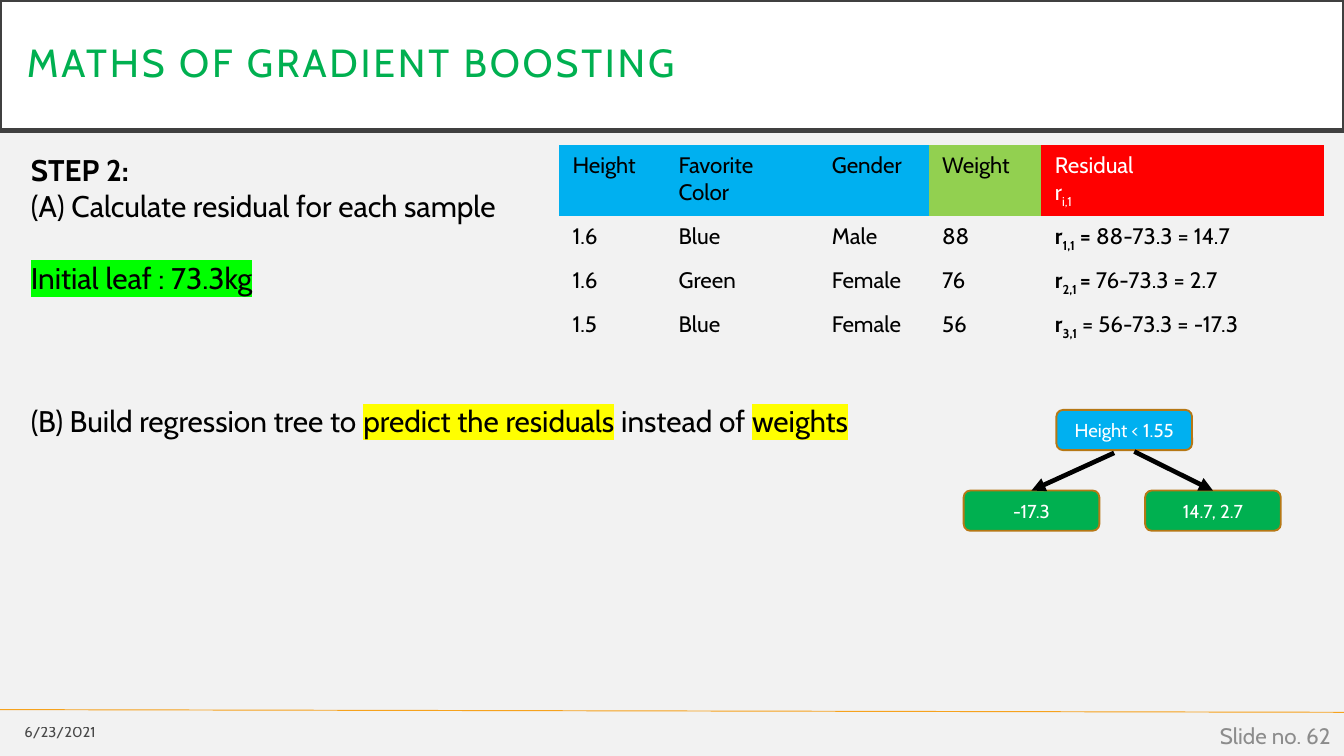
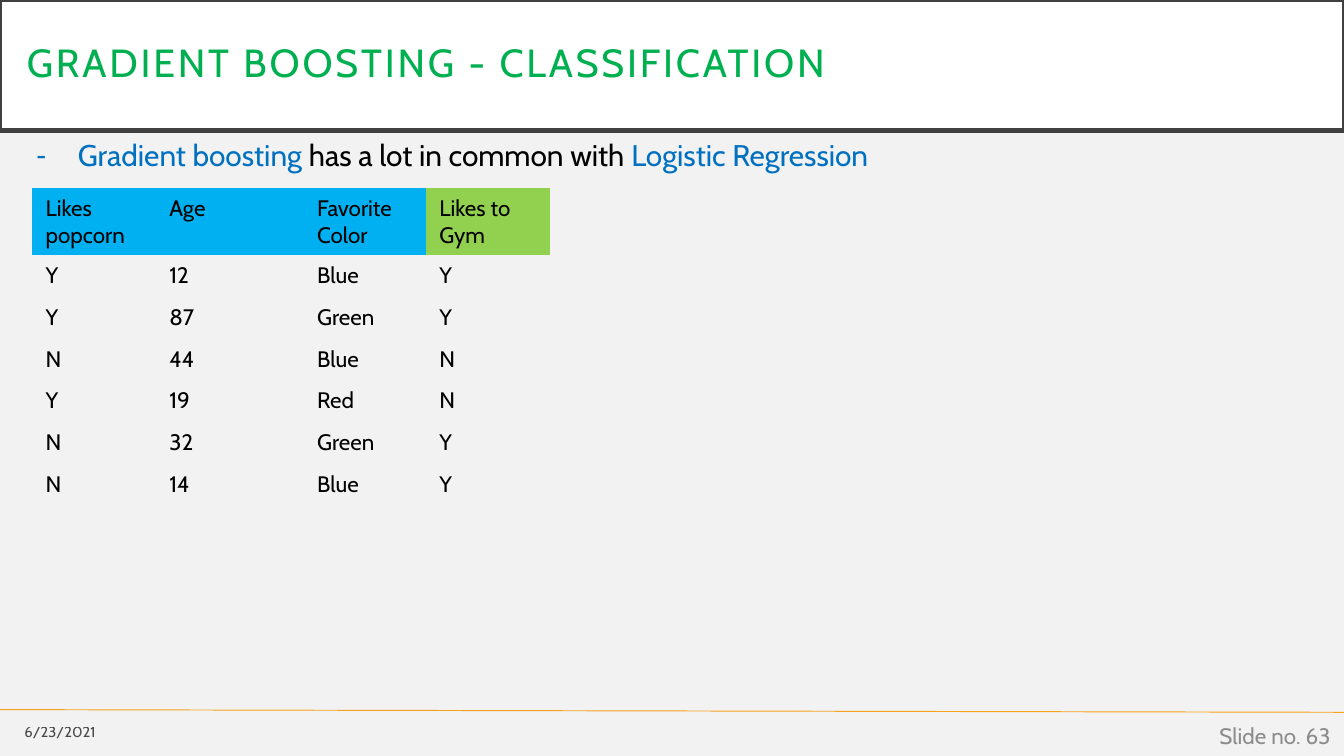
from dataclasses import dataclass, field

from lxml import etree
from pptx import Presentation
from pptx.dml.color import RGBColor
from pptx.enum.shapes import MSO_CONNECTOR, MSO_SHAPE
from pptx.enum.text import MSO_ANCHOR, MSO_AUTO_SIZE, PP_ALIGN
from pptx.oxml.ns import qn
from pptx.util import Inches, Pt

STRAIGHT = MSO_CONNECTOR.STRAIGHT
ROUNDED = MSO_SHAPE.ROUNDED_RECTANGLE
MIDDLE, TOP = MSO_ANCHOR.MIDDLE, MSO_ANCHOR.TOP
LEFT, CENTER, RIGHT = PP_ALIGN.LEFT, PP_ALIGN.CENTER, PP_ALIGN.RIGHT
FIXED = MSO_AUTO_SIZE.NONE
TITLE_AND_CONTENT = 1
TOP_SIDE = 0
SUBSCRIPT = -25000
PLAIN_TABLE = "{2D5ABB26-0587-4C30-8999-92F81FD0307C}"


@dataclass(frozen=True)
class Theme:
    font: str = "Cabin"
    page: str = "F2F2F2"
    white: str = "FFFFFF"
    black: str = "000000"
    band_edge: str = "404040"
    green: str = "00B050"
    rule: str = "F6A21D"
    slide_number: str = "8C8C8C"
    feature: str = "00B0F0"
    target: str = "92D050"
    residual: str = "FF0000"
    node_edge: str = "B67815"
    term: str = "0070C0"
    lime: str = "00FF00"
    yellow: str = "FFFF00"
    title_size: float = 21
    body_size: float = 16
    table_size: float = 12
    number_size: float = 12
    node_size: float = 10
    date_size: float = 7.9


THEME = Theme()


@dataclass(frozen=True)
class Box:
    left: float
    top: float
    width: float
    height: float

    def lengths(self) -> list:
        return [Inches(v) for v in (self.left, self.top, self.width, self.height)]


@dataclass(frozen=True)
class Span:
    text: str
    style: dict = field(default_factory=dict)


@dataclass(frozen=True)
class Line:
    spans: tuple
    blank_lines_before: int = 0
    dash: bool = False


@dataclass(frozen=True)
class Column:
    heading: tuple
    width: float
    fill: str


@dataclass(frozen=True)
class Node:
    text: str
    box: Box
    fill: str


def rgb(code: str) -> RGBColor:
    return RGBColor.from_string(code)


def write(paragraph, text: str, *, size: float, color: str = THEME.black,
          bold: bool = False, highlight: str = "", baseline: int = 0,
          spacing: float = 0, opacity: int = 100) -> None:
    run = paragraph.add_run()
    run.text = text
    run.font.name = THEME.font
    run.font.size = Pt(size)
    run.font.bold = bold
    run.font.color.rgb = rgb(color)
    props = run._r.get_or_add_rPr()
    if baseline:
        props.set("baseline", str(baseline))
    if spacing:
        props.set("spc", str(int(spacing * 100)))
    if opacity < 100:
        tint = props.find(qn("a:solidFill"))[0]
        etree.SubElement(tint, qn("a:alpha"), val=str(opacity * 1000))
    if highlight:
        marker = etree.Element(qn("a:highlight"))
        etree.SubElement(marker, qn("a:srgbClr"), val=highlight)
        props.find(qn("a:latin")).addprevious(marker)


def write_spans(paragraph, spans: tuple, size: float) -> None:
    for span in spans:
        write(paragraph, span.text, size=size, **span.style)


def place(shape, box: Box) -> None:
    shape.left, shape.top, shape.width, shape.height = box.lengths()


def paint(shape, fill: str, edge: str, weight: float) -> None:
    shape.fill.solid()
    shape.fill.fore_color.rgb = rgb(fill)
    shape.line.color.rgb = rgb(edge)
    shape.line.width = Pt(weight)


def add_line(slide, start: tuple, end: tuple, color: str, weight: float,
             arrow: bool = False):
    line = slide.shapes.add_connector(
        STRAIGHT, *[Inches(v) for v in (*start, *end)])
    line.line.color.rgb = rgb(color)
    line.line.width = Pt(weight)
    props = line._element.spPr
    if arrow:
        etree.SubElement(props.find(qn("a:ln")), qn("a:tailEnd"), type="triangle")
    etree.SubElement(props, qn("a:effectLst"))
    return line


def add_footer(slide, text: str, box: Box, **style) -> None:
    frame = slide.shapes.add_textbox(*box.lengths()).text_frame
    frame.word_wrap = True
    frame.vertical_anchor = MIDDLE
    frame.paragraphs[0].alignment = RIGHT
    write(frame.paragraphs[0], text, **style)


def add_slide(prs, title: str, number: int):
    slide = prs.slides.add_slide(prs.slide_layouts[TITLE_AND_CONTENT])
    add_line(slide, (0, 5.28), (10, 5.3), THEME.rule, 0.5)
    band = slide.shapes.title
    place(band, Box(0, 0, 10, 0.97))
    paint(band, THEME.white, THEME.band_edge, 2.5)
    frame = band.text_frame
    frame.auto_size = FIXED
    frame.vertical_anchor = MIDDLE
    frame.margin_left = frame.margin_right = Inches(0.2)
    frame.margin_top = frame.margin_bottom = Inches(0.2)
    heading = frame.paragraphs[0]
    heading.alignment = LEFT
    heading.line_spacing = 0.9
    write(heading, title, size=THEME.title_size, color=THEME.green, spacing=1.5)
    add_footer(slide, "6/23/2021", Box(0, 5.31, 0.81, 0.27),
               size=THEME.date_size, opacity=70)
    add_footer(slide, f"Slide no. {number}", Box(7.75, 5.32, 2.25, 0.3),
               size=THEME.number_size, color=THEME.slide_number)
    return slide


def fill_body(slide, box: Box, lines: list) -> None:
    body = slide.placeholders[1]
    place(body, box)
    frame = body.text_frame
    frame.auto_size = FIXED
    frame.vertical_anchor = TOP
    for index, line in enumerate(lines):
        paragraph = frame.add_paragraph() if index else frame.paragraphs[0]
        paragraph.alignment = LEFT
        paragraph.space_before = Pt(line.blank_lines_before * THEME.body_size * 1.2)
        props = paragraph._p.get_or_add_pPr()
        indent = Inches(0.31) if line.dash else 0
        props.set("marL", str(indent))
        props.set("indent", str(-indent))
        if line.dash:
            etree.SubElement(props, qn("a:buChar"), char="-")
        else:
            etree.SubElement(props, qn("a:buNone"))
        write_spans(paragraph, line.spans, THEME.body_size)


def fill_cell(cell, paragraphs: tuple, fill: str = "") -> None:
    if fill:
        cell.fill.solid()
        cell.fill.fore_color.rgb = rgb(fill)
    else:
        cell.fill.background()
    frame = cell.text_frame
    for index, spans in enumerate(paragraphs):
        paragraph = frame.add_paragraph() if index else frame.paragraphs[0]
        write_spans(paragraph, spans, THEME.table_size)


def add_data_table(slide, box: Box, columns: list, records: list) -> None:
    holder = slide.shapes.add_table(len(records) + 1, len(columns), *box.lengths())
    table = holder.table
    table.first_row = table.horz_banding = False
    table._tbl.tblPr.find(qn("a:tableStyleId")).text = PLAIN_TABLE
    for index, row in enumerate(table.rows):
        row.height = Inches(0.31 if index else 0.38)
    for index, column in enumerate(columns):
        table.columns[index].width = Inches(column.width)
        fill_cell(table.cell(0, index), column.heading, column.fill)
    for row, record in enumerate(records, 1):
        for index, value in enumerate(record):
            spans = (Span(value),) if isinstance(value, str) else value
            fill_cell(table.cell(row, index), (spans,))
    place(holder, box)


def column(heading: str, width: float, fill: str = THEME.feature) -> Column:
    return Column(((Span(heading),),), width, fill)


def residual(index: str, equals: str, result: str, bold_equals: bool = True) -> tuple:
    return (Span("r", {"bold": True}),
            Span(index, {"bold": True, "baseline": SUBSCRIPT}),
            Span(equals, {"bold": bold_equals}),
            Span(result))


def add_node(slide, node: Node):
    shape = slide.shapes.add_shape(ROUNDED, *node.box.lengths())
    shape.shadow.inherit = False
    paint(shape, node.fill, THEME.node_edge, 1)
    shape.text_frame.vertical_anchor = MIDDLE
    paragraph = shape.text_frame.paragraphs[0]
    paragraph.alignment = CENTER
    write(paragraph, node.text, size=THEME.node_size, color=THEME.white)
    return shape


def build_residuals_slide(prs) -> None:
    slide = add_slide(prs, "MATHS OF GRADIENT BOOSTING", 62)
    marked = {"highlight": THEME.yellow}
    fill_body(slide, Box(0.13, 1.08, 9.71, 2.61), [
        Line((Span("STEP 2:", {"bold": True}),)),
        Line((Span("(A) Calculate residual for each sample"),)),
        Line((Span("Initial leaf : 73.3kg", {"highlight": THEME.lime}),), 1),
        Line((Span("(B) Build regression tree to "),
              Span("predict the residuals", marked),
              Span(" instead of "), Span("weights", marked)), 3),
    ])
    white = {"color": THEME.white}
    residual_heading = (
        (Span("Residual", white),),
        (Span("r", white), Span("i,1", {**white, "baseline": SUBSCRIPT})))
    add_data_table(slide, Box(4.16, 1.08, 5.68, 1.42), [
        column("Height", 0.79), column("Favorite Color", 1.14),
        column("Gender", 0.82), column("Weight", 0.84, THEME.target),
        Column(residual_heading, 2.1, THEME.residual),
    ], [
        ("1.6", "Blue", "Male", "88", residual("1,1", " = ", "88-73.3 = 14.7")),
        ("1.6", "Green", "Female", "76", residual("2,1 ", "= ", "76-73.3 = 2.7")),
        ("1.5", "Blue", "Female", "56",
         residual("3,1", " = ", "56-73.3 = -17.3", bold_equals=False)),
    ])
    add_node(slide, Node("Height < 1.55", Box(7.86, 3.05, 1.01, 0.3), THEME.feature))
    for text, left, start in (("-17.3", 7.17, (8.29, 3.37)),
                              ("14.7, 2.7", 8.52, (8.44, 3.36))):
        leaf = add_node(slide, Node(text, Box(left, 3.65, 1.01, 0.3), THEME.green))
        branch = add_line(slide, start, (left + 0.5, 3.65), THEME.black, 2.5, arrow=True)
        branch.end_connect(leaf, TOP_SIDE)


def build_classification_slide(prs) -> None:
    slide = add_slide(prs, "GRADIENT BOOSTING - CLASSIFICATION", 63)
    term = {"color": THEME.term}
    fill_body(slide, Box(0.17, 0.97, 9.66, 0.64), [
        Line((Span("Gradient boosting ", term), Span("has a lot in common with "),
              Span("Logistic Regression", term)), dash=True),
    ])
    add_data_table(slide, Box(0.24, 1.4, 3.85, 2.35), [
        column("Likes popcorn", 0.92), column("Age", 1.1),
        column("Favorite Color", 0.91), column("Likes to Gym", 0.92, THEME.target),
    ], [
        ("Y", "12", "Blue", "Y"), ("Y", "87", "Green", "Y"),
        ("N", "44", "Blue", "N"), ("Y", "19", "Red", "N"),
        ("N", "32", "Green", "Y"), ("N", "14", "Blue", "Y"),
    ])


def main() -> None:
    prs = Presentation()
    prs.slide_width = Inches(10)
    prs.slide_height = Inches(10 * 9 / 16)
    page = prs.slide_master.background.fill
    page.solid()
    page.fore_color.rgb = rgb(THEME.page)
    build_residuals_slide(prs)
    build_classification_slide(prs)
    prs.save("out.pptx")


if __name__ == "__main__":
    main()
